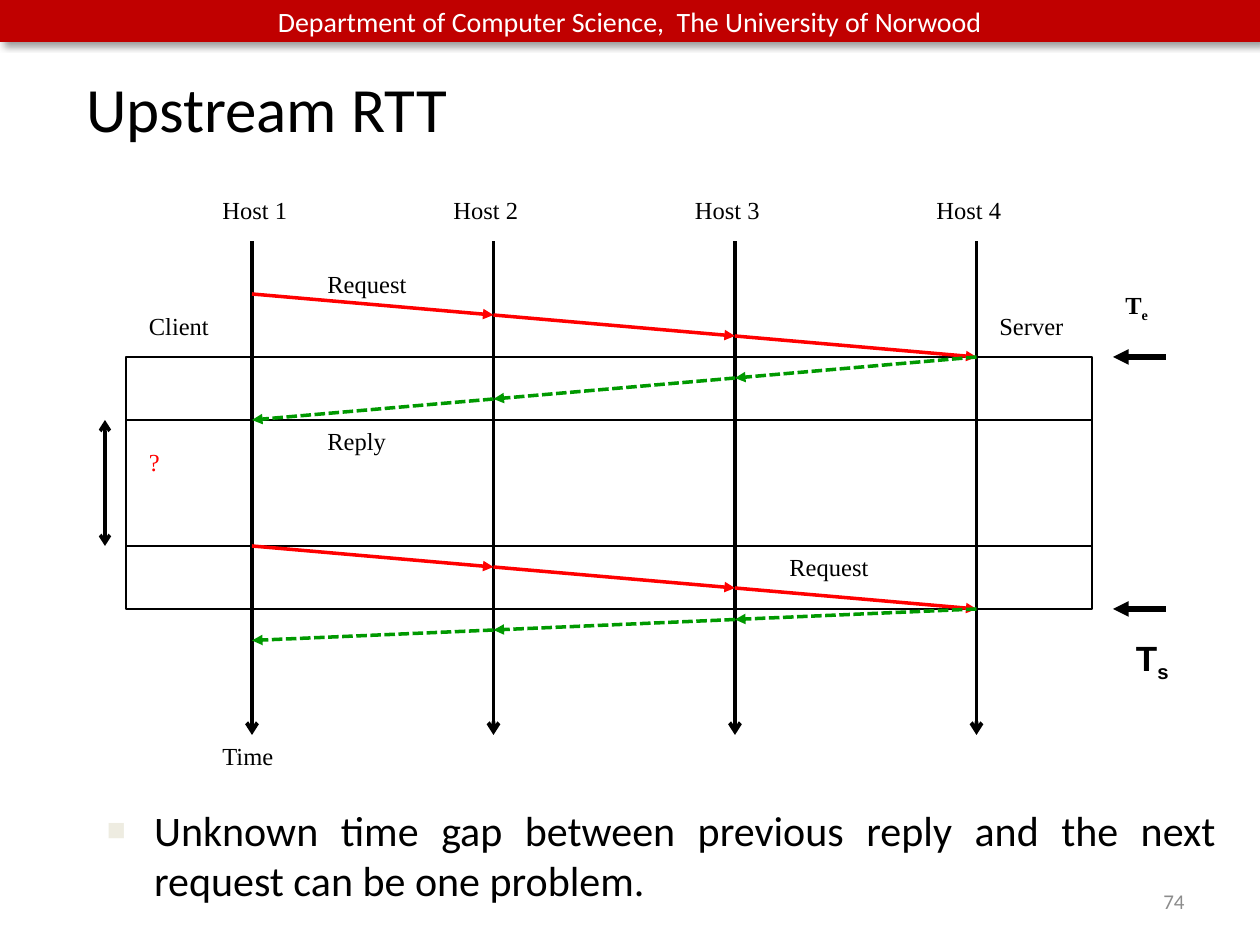
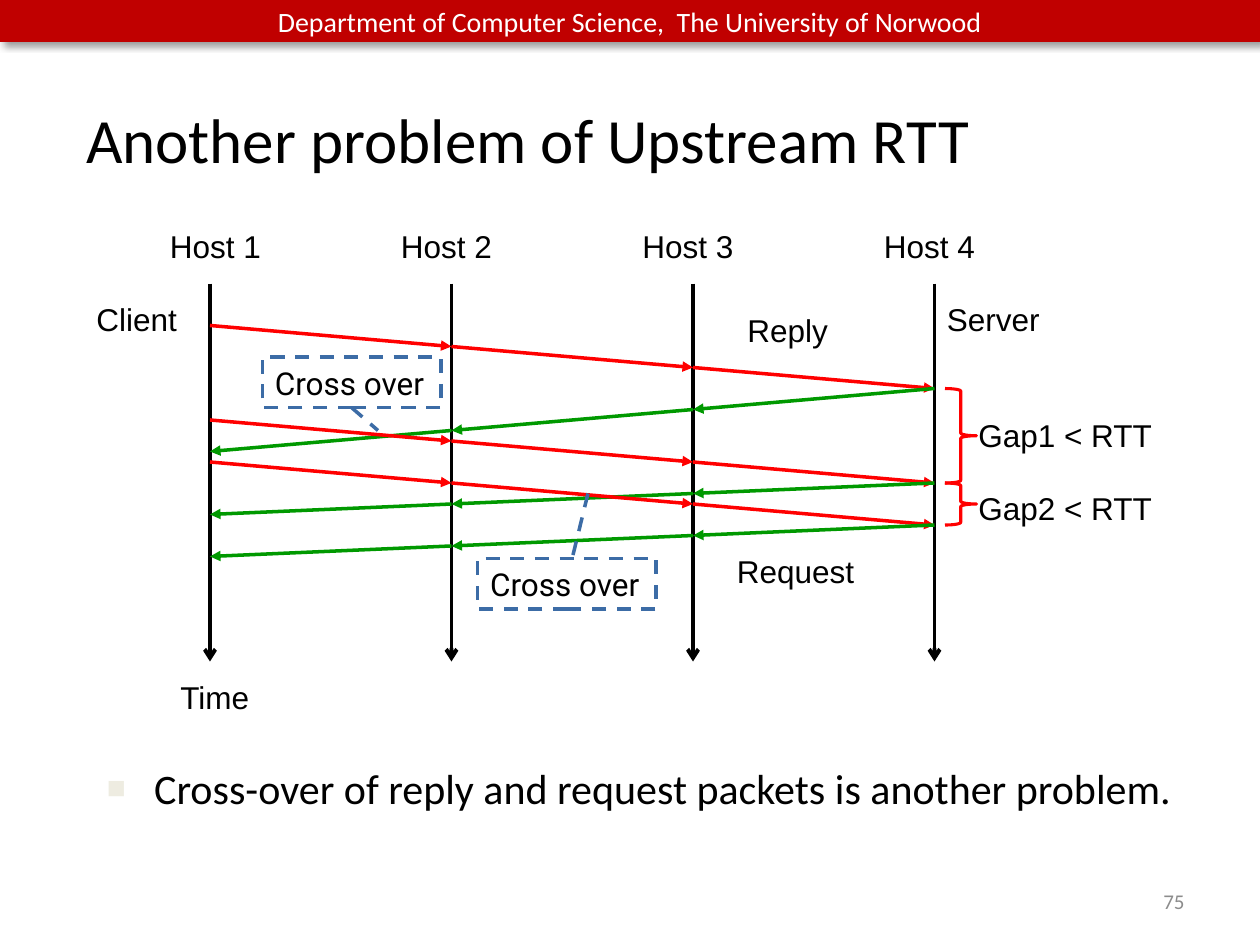
from collections import namedtuple

from pptx import Presentation
from pptx.dml.color import RGBColor
from pptx.enum.dml import MSO_LINE as Dash
from pptx.enum.shapes import MSO_CONNECTOR as Connector, MSO_SHAPE as Shape
from pptx.enum.text import MSO_ANCHOR as Anchor, MSO_AUTO_SIZE as AutoSize, PP_ALIGN as Align
from pptx.oxml import parse_xml
from pptx.oxml.ns import nsdecls, qn
from pptx.util import Pt

COLORS = {
    "band": "C00000", "ink": "000000", "paper": "FFFFFF", "number": "8C8C8C",
    "bullet": "EEECE1", "request": "FF0000", "reply": "009900", "callout": "3C6CA6",
}
HOSTS = 4
HEADER = "Department of Computer Science,\u00a0 The University of Norwood"
FIRST_NUMBER = 74

Box = namedtuple("Box", "left top width height")
# Packets of one exchange: start of the request, fall per hop of the reply
RoundTrip = namedtuple("RoundTrip", "start reply_fall")
# Lettering of a diagram: font, size and distance of host names from lifelines
Lettering = namedtuple("Lettering", "font size offset")


def rgb(name):
    """Return a palette colour."""
    return RGBColor.from_string(COLORS[name])


def add_xml(parent, tag, inner="", **attributes):
    """Append a DrawingML element to parent."""
    listed = "".join(f' {key}="{value}"' for key, value in attributes.items())
    parent.append(parse_xml(f'<a:{tag} {nsdecls("a")}{listed}>{inner}</a:{tag}>'))


def style_text(paragraph, font, size, color="ink", align=Align.LEFT):
    """Format a whole paragraph."""
    paragraph.alignment = align
    paragraph.font.name = font
    paragraph.font.size = Pt(size)
    paragraph.font.color.rgb = rgb(color)


def add_text(slide, box, text, font, size, color="ink", align=Align.LEFT):
    """Place a wrapping text box and return its text frame."""
    frame = slide.shapes.add_textbox(*map(Pt, box)).text_frame
    frame.word_wrap = True
    frame.text = text
    style_text(frame.paragraphs[0], font, size, color, align)
    return frame


def add_outline(slide, kind, box, color, weight):
    """Place an unfilled preset shape."""
    shape = slide.shapes.add_shape(kind, *map(Pt, box))
    shape.shadow.inherit = False
    shape.fill.background()
    shape.line.color.rgb = rgb(color)
    shape.line.width = Pt(weight)
    return shape


def add_line(slide, start, end, color, weight, dash=None, head=None, tail=None):
    """Draw a straight line, with arrowheads where asked."""
    line = slide.shapes.add_connector(Connector.STRAIGHT, *map(Pt, (*start, *end)))
    line.line.color.rgb = rgb(color)
    line.line.width = Pt(weight)
    if dash:
        line.line.dash_style = dash
    properties = line.element.spPr
    for tag, kind in (("headEnd", head), ("tailEnd", tail)):
        if kind:
            add_xml(properties.find(qn("a:ln")), tag, type=kind)
    add_xml(properties, "effectLst")


def add_master_band(prs, slide, box):
    """Draw the header band and move it to the slide master."""
    band = slide.shapes.add_shape(Shape.RECTANGLE, *map(Pt, box))
    band.fill.solid()
    band.fill.fore_color.rgb = rgb("band")
    band.line.fill.background()
    band.shadow.inherit = False
    add_xml(band.element.spPr.find(qn("a:effectLst")), "outerShdw",
            '<a:srgbClr val="000000"><a:alpha val="40000"/></a:srgbClr>',
            blurRad=Pt(4), dist=Pt(3), dir=45 * 60000, algn="tl", rotWithShape=0)
    frame = band.text_frame
    frame.text = HEADER
    frame.vertical_anchor = Anchor.MIDDLE
    style_text(frame.paragraphs[0], "Calibri", 16, "paper", Align.CENTER)
    prs.slide_master.shapes.element.insert(2, band.element)


def add_title(slide, box, text):
    """Move and format the title placeholder."""
    title = slide.shapes.title
    title.left, title.top, title.width, title.height = map(Pt, box)
    frame = title.text_frame
    frame.text = text
    frame.auto_size = AutoSize.NONE
    frame.vertical_anchor = Anchor.TOP
    style_text(frame.paragraphs[0], "Calibri", 36)


def add_bullet(slide, box, text):
    """Place the justified remark with its square bullet."""
    paragraph = add_text(slide, box, text, "Calibri", 24, align=Align.JUSTIFY).paragraphs[0]
    paragraph.space_before = Pt(4.8)
    properties = paragraph._p.get_or_add_pPr()
    properties.set("marL", str(Pt(27)))
    properties.set("indent", str(-Pt(27)))
    settings = [
        ("buClr", f'<a:srgbClr val="{COLORS["bullet"]}"/>', {}),
        ("buSzPct", "", {"val": 75000}),
        ("buFont", "", {"typeface": "Arial"}),
        ("buChar", "", {"char": "\u25a0"}),
    ]
    at = 1  # after the spacing, before the default run properties
    for tag, inner, attributes in settings:
        add_xml(properties, tag, inner, **attributes)
        properties.insert(at, properties[-1])
        at += 1


def add_number(slide, box, number):
    """Place the slide number as a live field."""
    frame = add_text(slide, box, "", "Calibri", 12, "number", Align.RIGHT)
    frame.vertical_anchor = Anchor.MIDDLE
    fill = f'<a:solidFill><a:srgbClr val="{COLORS["number"]}"/></a:solidFill>'
    add_xml(frame.paragraphs[0]._p, "fld",
            f'<a:rPr lang="en-US" sz="1200">{fill}<a:latin typeface="Calibri"/></a:rPr>'
            f"<a:t>{number}</a:t>",
            id="{B6F15528-21DE-4FAA-801E-634DDDAF4B2B}", type="slidenum")


def add_base(prs, number, title, title_box, remark, remark_top):
    """Add a slide with title, remark and number."""
    slide = prs.slides.add_slide(prs.slide_layouts[5])
    add_title(slide, title_box, title)
    add_bullet(slide, Box(54, remark_top, 648, 66), remark)
    add_number(slide, Box(516, 500.4, 168, 28.8), number)
    return slide


def add_label(slide, box, text, dx, dy, width, lettering, color="ink"):
    """Place a diagram label at an offset from the box's corner."""
    place = Box(box.left + dx, box.top + dy, width, lettering.size * 1.1 + 9)
    return add_text(slide, place, text, lettering.font, lettering.size, color)


def add_sequence(slide, box, round_trips, lettering, labels, reply_dash=None):
    """Draw lifelines across the box, the packets between them and the labels."""
    hop = box.width / (HOSTS - 1)
    hosts = [box.left + hop * i for i in range(HOSTS)]
    offset = lettering.offset
    for i, x in enumerate(hosts):
        add_line(slide, (x, box.top), (x, box.top + box.height), "ink", 2.25, tail="arrow")
        nudge = 0 if i else 6
        add_label(slide, box, f"Host {i + 1}", hop * i - offset + nudge, -offset, 84, lettering)
    add_label(slide, box, "Time", -24, box.height + offset - 30, 66, lettering)

    for trip in round_trips:
        y = box.top + trip.start
        legs = (("request", hosts, 12, None),
                ("reply", hosts[::-1], trip.reply_fall, reply_dash))
        for color, stops, fall, dash in legs:
            for near, far in zip(stops, stops[1:]):
                add_line(slide, (near, y), (far, y + fall), color, 2, dash, tail="triangle")
                y += fall

    for text, dx, dy, width in labels:
        add_label(slide, box, text, dx, dy, width, lettering,
                  "request" if text == "?" else "ink")


def add_time_mark(slide, box, subscript, arrow_y, lettering):
    """Place a bold T with a subscript and the arrow at its moment."""
    frame = add_label(slide, box, "T", 0, 0, box.width, lettering)
    paragraph = frame.paragraphs[0]
    paragraph.font.bold = True
    run = paragraph.add_run()
    run.text = subscript
    run._r.get_or_add_rPr().set("baseline", "-25000")
    add_line(slide, (666, arrow_y), (636, arrow_y), "ink", 3, tail="triangle")


def add_callout(slide, box, start, end):
    """Place a dashed note and its pointer."""
    note = add_outline(slide, Shape.RECTANGLE, box, "callout", 2)
    note.line.dash_style = Dash.DASH
    note.text_frame.text = "Cross over"
    style_text(note.text_frame.paragraphs[0], "Roboto", 18)
    add_line(slide, start, end, "callout", 2, Dash.DASH)


def build_upstream(prs):
    """Slide on the unknown gap between reply and request."""
    slide = add_base(
        prs, FIRST_NUMBER, "Upstream RTT", Box(42, 36, 498, 51),
        "Unknown time gap between previous reply and the next request can be one problem.", 456)
    moments = (204, 240, 312, 348)
    for top, bottom, weight in zip(moments, moments[1:], (0.75, 1.25, 0.75)):
        add_outline(slide, Shape.RECTANGLE, Box(72, top, 552, bottom - top), "ink", weight)
    serif = Lettering("Times New Roman", 14, 30)
    labels = [
        ("Request", 36, 12, 84), ("Client", -66, 36, 66), ("Server", 420, 36, 72),
        ("Reply", 36, 102, 66), ("?", -66, 114, 36), ("Request", 300, 174, 84),
    ]
    add_sequence(slide, Box(144, 138, 414, 282), [RoundTrip(30, 12), RoundTrip(174, 6)],
                 serif, labels, Dash.SQUARE_DOT)
    add_line(slide, (60, moments[1]), (60, moments[2]), "ink", 2, head="arrow", tail="arrow")
    add_time_mark(slide, Box(636, 162, 42, 24), "e", moments[0], serif)
    add_time_mark(slide, Box(642, 360, 42, 32), "s", moments[3], Lettering("Arial", 20, 0))
    return slide


def build_crossover(prs):
    """Slide on packets that cross over."""
    slide = add_base(
        prs, FIRST_NUMBER + 1, "Another problem of Upstream RTT", Box(42, 54, 648, 51),
        "Cross-over of reply and request packets is another problem.", 432)
    labels = [
        ("Client", -72, 6, 66), ("Server", 414, 6, 72), ("Reply", 300, 12, 66),
        ("Request", 294, 150, 84), ("Gap1 < RTT", 432, 72, 114), ("Gap2 < RTT", 432, 114, 114),
    ]
    trips = [RoundTrip(24, 12), RoundTrip(78, 6), RoundTrip(102, 6)]
    diagram = Box(120, 162, 414, 216)
    add_sequence(slide, diagram, trips, Lettering("Arial", 18, 36), labels)
    arrivals = [diagram.top + trip.start + 12 * (HOSTS - 1) for trip in trips]
    for top, bottom in zip(arrivals, arrivals[1:]):
        brace = add_outline(slide, Shape.RIGHT_BRACE, Box(540, top, 18, bottom - top),
                            "request", 1.75)
        brace.adjustments[0] = 0.083
    add_callout(slide, Box(150, 204, 102, 29), (201, 233), (216, 246))
    add_callout(slide, Box(273, 319, 102, 29), (336, 282), (327, 319))


prs = Presentation()
prs.slide_width, prs.slide_height = Pt(720), Pt(540)
prs.element.set("firstSlideNum", str(FIRST_NUMBER))
upstream = build_upstream(prs)
build_crossover(prs)
add_master_band(prs, upstream, Box(0, 0, 720, 24))
prs.save("out.pptx")
